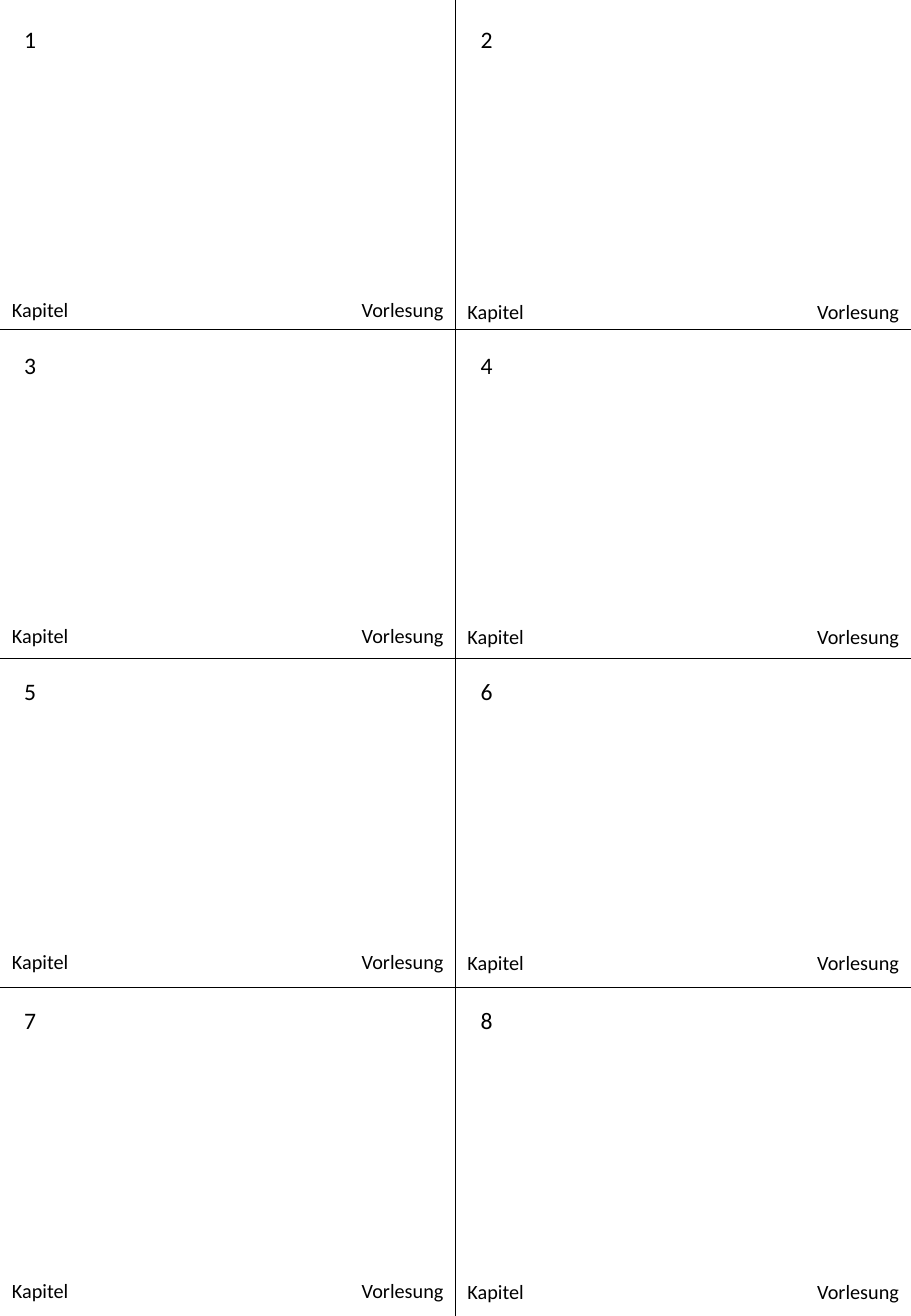
"""Build a sheet of eight numbered lecture cards."""
from dataclasses import dataclass

from lxml import etree
from pptx import Presentation
from pptx import util as u
from pptx.dml.color import RGBColor
from pptx.enum import shapes, text
from pptx.oxml.ns import qn

SHEET_WIDTH, SHEET_HEIGHT = 7.5, 10.83
COLUMNS = 2
CARD_WIDTH, CARD_HEIGHT = 3.75, 2.71
NUMBER_TOPS = (0.16, 2.84, 5.52, 8.23)
FOOTER_OFFSET = 2.24
INK = "000000"


@dataclass(frozen=True)
class Label:
    """A text box with its position, size and format."""

    wording: str
    left: float
    top: float
    width: float
    height: float = 0.3
    size: int = 12
    wrap: bool = True
    align: text.PP_ALIGN = text.PP_ALIGN.LEFT


@dataclass(frozen=True)
class Rule:
    """A straight cutting line between cards."""

    start_x: float
    start_y: float
    end_x: float
    end_y: float


def paint(colour_format, colour: str) -> None:
    """Apply a hex colour to a colour format."""
    colour_format.rgb = RGBColor.from_string(colour)


def apply_format(target, values: dict) -> None:
    """Set every attribute named in the format values."""
    for name, value in values.items():
        setattr(target, name, value)


def draw_rule(slide, rule: Rule) -> None:
    """Draw a thin line without a shadow."""
    ends = (rule.start_x, rule.start_y, rule.end_x, rule.end_y)
    connector = slide.shapes.add_connector(
        shapes.MSO_CONNECTOR.STRAIGHT, *map(u.Inches, ends))
    connector.line.width = u.Pt(0.5)
    paint(connector.line.color, INK)
    properties = connector._element.find(qn("p:spPr"))
    etree.SubElement(properties, qn("a:effectLst"))


def draw_label(slide, label: Label) -> None:
    """Draw a text box that grows with its text."""
    box = (label.left, label.top, label.width, label.height)
    frame = slide.shapes.add_textbox(*map(u.Inches, box)).text_frame
    apply_format(frame, {
        "text": label.wording,
        "word_wrap": label.wrap,
        "auto_size": text.MSO_AUTO_SIZE.SHAPE_TO_FIT_TEXT,
    })
    paragraph = frame.paragraphs[0]
    paragraph.alignment = label.align
    font = paragraph.runs[0].font
    apply_format(font, {"name": "Calibri", "size": u.Pt(label.size)})
    paint(font.color, INK)


def card_labels(row: int, column: int) -> list[Label]:
    """Return the number, chapter and lecture labels of one card."""
    left = column * CARD_WIDTH
    top = NUMBER_TOPS[row]
    footer_top = top + FOOTER_OFFSET + 0.01 * column
    lecture_width = 0.88
    return [
        Label(str(row * COLUMNS + column + 1), left + 0.1 + 0.01 * column, top,
              3.54, height=0.34, size=14),
        Label("Kapitel", left, footer_top, 2.11),
        Label("Vorlesung", left + CARD_WIDTH - lecture_width, footer_top,
              lecture_width, wrap=False, align=text.PP_ALIGN.RIGHT),
    ]


def main() -> None:
    """Create and save the card sheet."""
    presentation = Presentation()
    apply_format(presentation, {
        "slide_width": u.Inches(SHEET_WIDTH),
        "slide_height": u.Inches(SHEET_HEIGHT),
    })
    slide = presentation.slides.add_slide(presentation.slide_layouts[6])
    rules = [Rule(0, row * CARD_HEIGHT, SHEET_WIDTH, row * CARD_HEIGHT)
             for row in range(1, len(NUMBER_TOPS))]
    rules.append(Rule(CARD_WIDTH, 0, CARD_WIDTH, SHEET_HEIGHT))
    for rule in rules:
        draw_rule(slide, rule)
    for row in range(len(NUMBER_TOPS)):
        for column in range(COLUMNS):
            for label in card_labels(row, column):
                draw_label(slide, label)
    presentation.save("out.pptx")


main()
